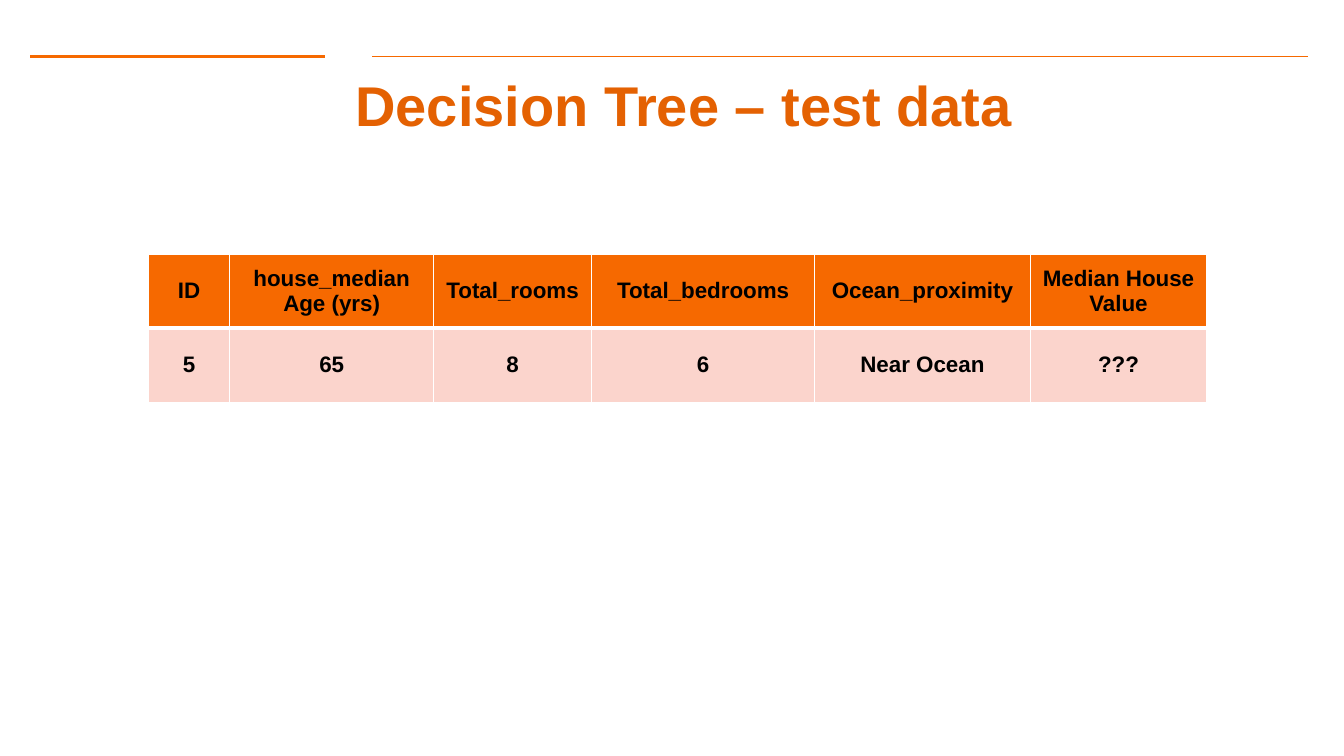
from lxml import etree
from pptx import Presentation
from pptx.dml.color import RGBColor
from pptx.enum.shapes import MSO_CONNECTOR
from pptx.enum.text import MSO_ANCHOR, PP_ALIGN
from pptx.oxml.ns import qn
from pptx.util import Inches, Pt

STRAIGHT = MSO_CONNECTOR.STRAIGHT
MIDDLE = MSO_ANCHOR.MIDDLE
CENTER = PP_ALIGN.CENTER

ORANGE = RGBColor(0xF6, 0x69, 0x00)
TITLE_ORANGE = RGBColor(0xE4, 0x61, 0x02)
PINK = RGBColor(0xFB, 0xD4, 0xCC)
BLACK = RGBColor(0, 0, 0)
WHITE = RGBColor(0xFF, 0xFF, 0xFF)
FONT = "Arial"

TITLE = "Decision Tree – test data"
RULE_Y = 0.56
RULES = [(0.3, 3.22, 2), (3.69, 12.97, 1)]  # start, end, width in points

# Each cell is a list of paragraphs.
HEADER = [["ID"], ["house_median", "Age (yrs)"], ["Total_rooms"],
          ["Total_bedrooms"], ["Ocean_proximity"], ["Median House ", "Value"]]
TEST_HOUSE = [["5"], ["65"], ["8"], ["6"], ["Near Ocean"], ["???"]]
COLUMN_WIDTHS = [0.81, 2.02, 1.57, 2.21, 2.14, 1.75]
ROW_HEIGHT = 0.735
# Row content, fill, and border widths in points.
ROWS = [
    (HEADER, ORANGE, {"lnL": 1, "lnR": 1, "lnT": 1, "lnB": 3}),
    (TEST_HOUSE, PINK, {"lnL": 1, "lnR": 1, "lnT": 3, "lnB": 1}),
]


def write_paragraphs(text_frame, lines, size, color):
    """Write bold centred lines, one paragraph each."""
    for index, line in enumerate(lines):
        paragraph = text_frame.add_paragraph() if index else text_frame.paragraphs[0]
        paragraph.alignment = CENTER
        run = paragraph.add_run()
        run.text = line
        run.font.name = FONT
        run.font.size = Pt(size)
        run.font.bold = True
        run.font.color.rgb = color


def add_rule(slide, start, end, width):
    """Draw one horizontal rule above the title."""
    rule = slide.shapes.add_connector(
        STRAIGHT, Inches(start), Inches(RULE_Y), Inches(end), Inches(RULE_Y))
    rule.line.color.rgb = ORANGE
    rule.line.width = Pt(width)
    etree.SubElement(rule.element.spPr, qn("a:effectLst"))


def add_title(slide):
    """Add the slide title."""
    title = slide.shapes.add_textbox(Inches(0.78), Inches(0.76), Inches(12), Inches(0.55))
    frame = title.text_frame
    frame.word_wrap = True
    frame.vertical_anchor = MIDDLE
    frame.margin_left = frame.margin_right = Inches(0.13)
    frame.margin_top = frame.margin_bottom = Inches(0.13)
    write_paragraphs(frame, [TITLE], 40, TITLE_ORANGE)


def set_borders(cell, borders):
    """Give a cell white borders; they must precede its fill."""
    properties = cell._tc.get_or_add_tcPr()
    for position, (side, width) in enumerate(borders.items()):
        line = etree.Element(qn(f"a:{side}"), w=str(Pt(width)))
        fill = etree.SubElement(line, qn("a:solidFill"))
        etree.SubElement(fill, qn("a:srgbClr"), val=str(WHITE))
        properties.insert(position, line)


def add_test_table(slide):
    """Add the table with the house to be predicted."""
    table = slide.shapes.add_table(
        len(ROWS), len(COLUMN_WIDTHS), Inches(1.47), Inches(2.52),
        Inches(sum(COLUMN_WIDTHS)), Inches(ROW_HEIGHT * len(ROWS))).table
    for column, width in zip(table.columns, COLUMN_WIDTHS):
        column.width = Inches(width)
    for row, (contents, fill, borders) in zip(table.rows, ROWS):
        row.height = Inches(ROW_HEIGHT)
        for cell, lines in zip(row.cells, contents):
            cell.vertical_anchor = MIDDLE
            cell.fill.solid()
            cell.fill.fore_color.rgb = fill
            set_borders(cell, borders)
            write_paragraphs(cell.text_frame, lines, 16, BLACK)


presentation = Presentation()
presentation.slide_width = Inches(13.33)
presentation.slide_height = Inches(7.5)
slide = presentation.slides.add_slide(presentation.slide_layouts[6])
for start, end, width in RULES:
    add_rule(slide, start, end, width)
add_title(slide)
add_test_table(slide)
presentation.save("out.pptx")
